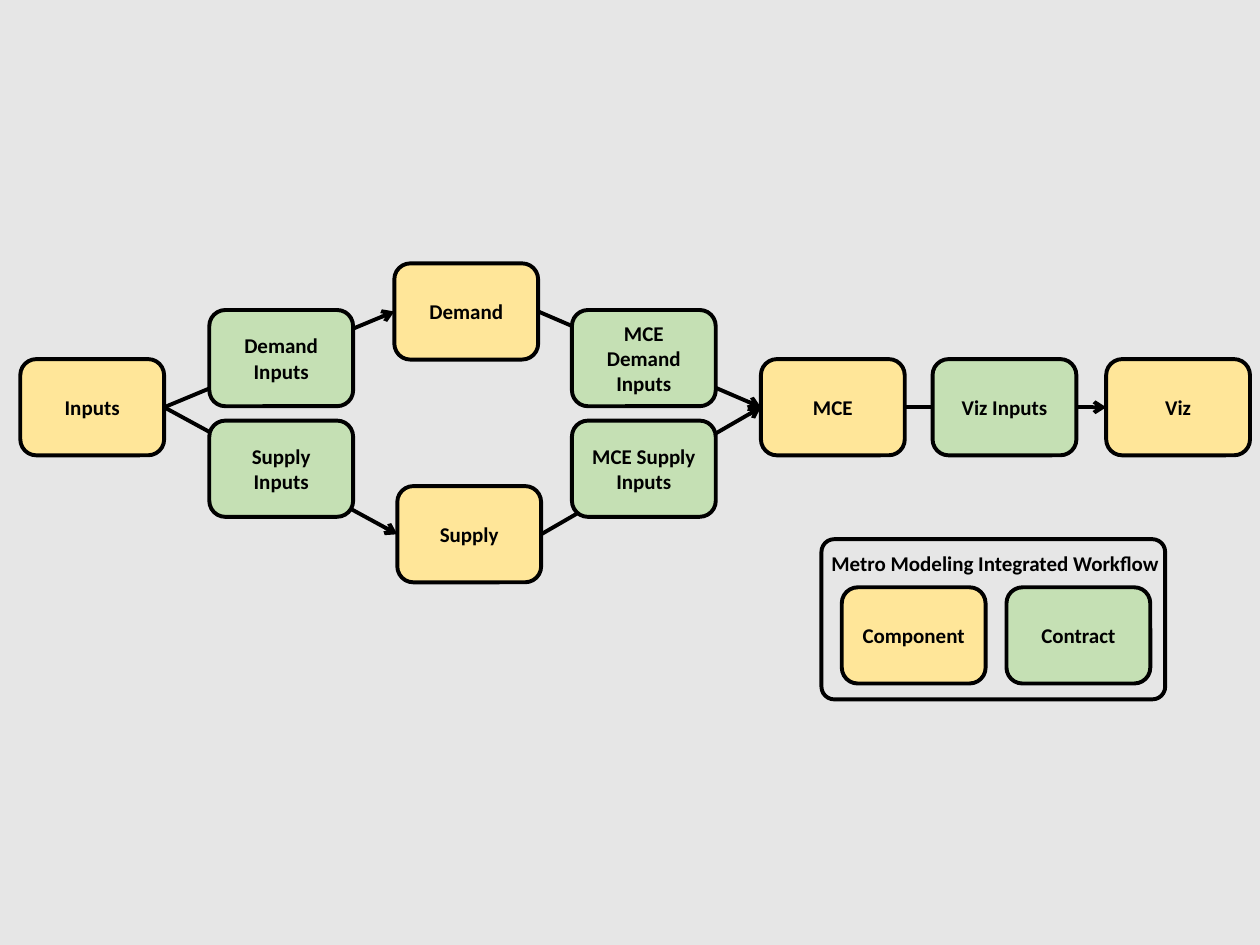
"""Build the integrated modeling workflow slide."""
from lxml import etree
from pptx import Presentation
from pptx import util as u
from pptx.dml.color import RGBColor
from pptx.enum import shapes, text
from pptx.oxml.ns import qn

BLACK = RGBColor(0x00, 0x00, 0x00)
GREY = RGBColor(0xE6, 0xE6, 0xE6)
YELLOW = RGBColor(0xFF, 0xE6, 0x99)
GREEN = RGBColor(0xC5, 0xE0, 0xB4)

BOX_WIDTH, BOX_HEIGHT = 2.9, 1.94
MIDDLE, UPPER, LOWER = 7.24, 6.25, 8.48
LEGEND_TOP = 11.84
COMPONENTS = [
    ("Inputs", 0.41, MIDDLE),
    ("Demand", 7.95, 5.31),
    ("Supply", 8.01, 9.8),
    ("MCE", 15.34, MIDDLE),
    ("Viz", 22.3, MIDDLE),
    ("Component", 16.97, LEGEND_TOP),
]
CONTRACTS = [
    ("Demand Inputs", 4.22, UPPER),
    ("Supply Inputs", 4.22, LOWER),
    ("MCE Demand Inputs", 11.53, UPPER),
    ("MCE Supply Inputs", 11.53, LOWER),
    ("Viz Inputs", 18.8, MIDDLE),
    ("Contract", 20.29, LEGEND_TOP),
]
FLOWS = [
    ("Inputs", "Demand"),
    ("Inputs", "Supply"),
    ("Demand", "MCE"),
    ("Supply", "MCE"),
    ("MCE", "Viz"),
]
LEFT_SITE, RIGHT_SITE = 1, 3


def write(frame, words, size=12, bold=True, align=None, anchor=None, wrap=True):
    frame.word_wrap = wrap
    if anchor is not None:
        frame.vertical_anchor = anchor
    para = frame.paragraphs[0]
    para.alignment = align
    span = para.add_run()
    span.text = words
    span.font.name = "Calibri"
    span.font.size = u.Pt(size)
    span.font.bold = bold
    span.font.color.rgb = BLACK


def outline(line):
    line.color.rgb = BLACK
    line.width = u.Pt(2.25)


def add_box(page, left, top, width=BOX_WIDTH, height=BOX_HEIGHT, fill=None):
    box = page.shapes.add_shape(
        shapes.MSO_SHAPE.ROUNDED_RECTANGLE,
        u.Cm(left), u.Cm(top), u.Cm(width), u.Cm(height))
    box.shadow.inherit = False
    outline(box.line)
    if fill is None:
        box.fill.background()
    else:
        box.fill.solid()
        box.fill.fore_color.rgb = fill
    return box


def add_arrow(page):
    arrow = page.shapes.add_connector(shapes.MSO_CONNECTOR.STRAIGHT, 0, 0, 0, 0)
    outline(arrow.line)
    etree.SubElement(arrow.line._get_or_add_ln(), qn("a:tailEnd"), type="arrow")
    etree.SubElement(arrow._element.spPr, qn("a:effectLst"))
    return arrow


deck = Presentation()
deck.slide_width, deck.slide_height = u.Cm(25.4), u.Cm(19.05)
page = deck.slides.add_slide(deck.slide_layouts[6])
page.background.fill.solid()
page.background.fill.fore_color.rgb = GREY

arrows = [add_arrow(page) for _ in FLOWS]

legend = add_box(page, 16.56, 10.87, 6.93, 3.23)
legend.adjustments[0] = 0.08

boxes = {}
for nodes, fill in ((COMPONENTS, YELLOW), (CONTRACTS, GREEN)):
    for name, left, top in nodes:
        boxes[name] = add_box(page, left, top, fill=fill)
        write(boxes[name].text_frame, name, align=text.PP_ALIGN.CENTER,
              anchor=text.MSO_ANCHOR.MIDDLE)

for arrow, (source, target) in zip(arrows, FLOWS):
    arrow.begin_connect(boxes[source], RIGHT_SITE)
    arrow.end_connect(boxes[target], LEFT_SITE)

title = page.shapes.add_textbox(u.Cm(16.51), u.Cm(10.97), u.Cm(7.21), u.Cm(0.76))
write(title.text_frame, "Metro Modeling Integrated Workflow", wrap=False)
title.text_frame.auto_size = text.MSO_AUTO_SIZE.SHAPE_TO_FIT_TEXT

deck.save("out.pptx")
